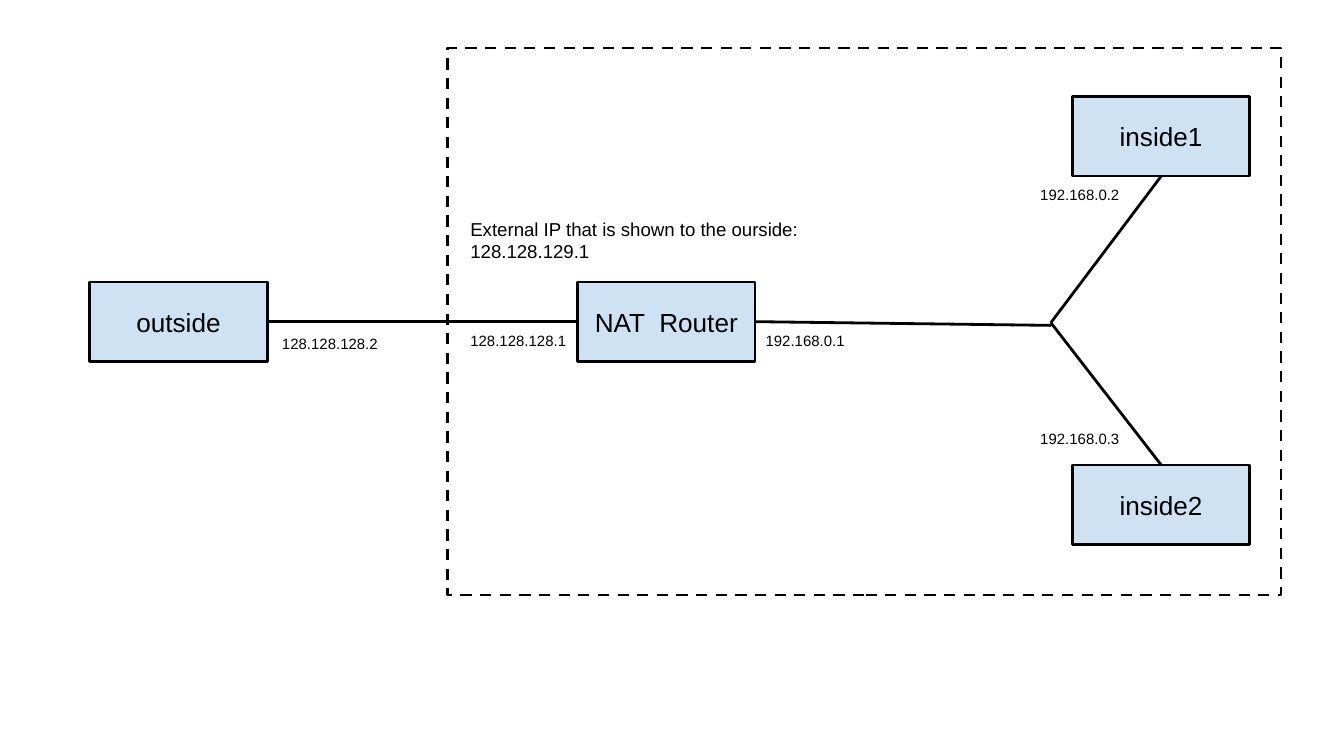
from lxml.etree import SubElement
from pptx import Presentation
from pptx.dml.color import RGBColor
from pptx.enum.dml import MSO_LINE
from pptx.enum.shapes import MSO_CONNECTOR, MSO_SHAPE
from pptx.enum.text import MSO_ANCHOR, PP_ALIGN
from pptx.oxml.ns import qn
from pptx.util import Cm, Pt

BLACK, LIGHT_BLUE = "000000", "CFE2F3"
BOX_W, BOX_H = 3.35, 1.5
MARGIN = Cm(0.25)


def color(target, value):
    """Set a fill, line or font to a solid hex colour."""
    if hasattr(target, "solid"):
        target.solid()
        target.fore_color.rgb = RGBColor.from_string(value)
    else:
        target.color.rgb = RGBColor.from_string(value)


def write(shape, text, size, align, anchor):
    """Put one paragraph of Arial text in a shape."""
    tf = shape.text_frame
    tf.word_wrap = True
    tf.vertical_anchor = anchor
    tf.margin_left = tf.margin_right = tf.margin_top = tf.margin_bottom = MARGIN
    p = tf.paragraphs[0]
    p.text = text
    p.alignment = align
    p.font.name = "Arial"
    p.font.size = Pt(size)
    color(p.font, BLACK)


prs = Presentation()
prs.slide_width, prs.slide_height = Cm(25.4), Cm(14.29)
s = prs.slides.add_slide(prs.slide_layouts[6])

# Private network frame
frame = s.shapes.add_shape(MSO_SHAPE.RECTANGLE, Cm(8.46), Cm(0.91), Cm(15.75), Cm(10.34))
frame.shadow.inherit = False
frame.fill.background()
color(frame.line, BLACK)
frame.line.width = Pt(1.5)
frame.line.dash_style = MSO_LINE.DASH

# Hosts
outside_x, router_x, inside_x = 1.7, 10.92, 20.27
middle_y, inside1_y, inside2_y = 5.33, 1.83, 8.79
hosts = [
    ("outside", outside_x, middle_y),
    ("NAT  Router", router_x, middle_y),
    ("inside2", inside_x, inside2_y),
    ("inside1", inside_x, inside1_y),
]
for name, x, y in hosts:
    host = s.shapes.add_shape(MSO_SHAPE.RECTANGLE, Cm(x), Cm(y), Cm(BOX_W), Cm(BOX_H))
    host.shadow.inherit = False
    color(host.fill, LIGHT_BLUE)
    color(host.line, BLACK)
    host.line.width = Pt(1.5)
    write(host, name, 14, PP_ALIGN.CENTER, MSO_ANCHOR.MIDDLE)

# Wires
wire_y = middle_y + BOX_H / 2
inside_center = inside_x + BOX_W / 2
fork_x, fork_y = 19.86, 6.1
wires = [
    (outside_x + BOX_W, wire_y, router_x, wire_y),
    (fork_x, fork_y, inside_center, inside1_y + BOX_H),
    (fork_x, fork_y, inside_center, inside2_y),
    (router_x + BOX_W, wire_y, fork_x, 6.15),
]
for ends in wires:
    wire = s.shapes.add_connector(MSO_CONNECTOR.STRAIGHT, *[Cm(v) for v in ends])
    color(wire.line, BLACK)
    wire.line.width = Pt(1.5)
    SubElement(wire._element.spPr, qn("a:effectLst"))

# Addresses
labels = [
    ("128.128.128.2", 5.08, 6.15, 2.34, 0.46, 8),
    ("128.128.128.1", 8.64, 6.1, 2.34, 0.46, 8),
    ("192.168.0.1", 14.22, 6.1, 2.18, 0.46, 8),
    ("192.168.0.3", 19.41, 7.95, 2.18, 0.46, 8),
    ("192.168.0.2", 19.41, 3.33, 2.18, 0.46, 8),
    ("External IP that is shown to the ourside: 128.128.129.1", 8.64, 3.86, 7.16, 1.5, 10),
]
for text, x, y, w, h, size in labels:
    label = s.shapes.add_textbox(Cm(x), Cm(y), Cm(w), Cm(h))
    write(label, text, size, PP_ALIGN.LEFT, MSO_ANCHOR.TOP)

prs.save("out.pptx")
